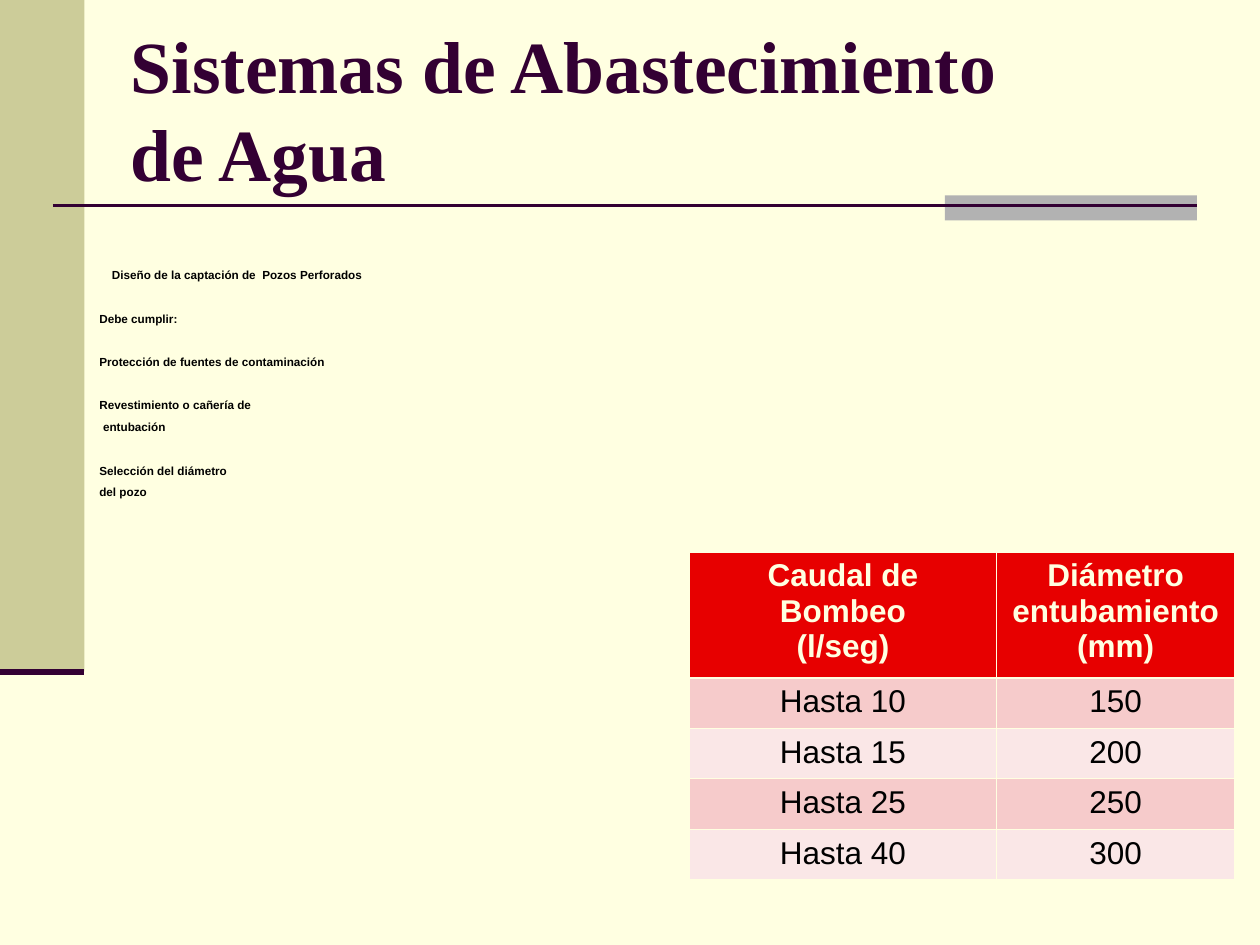
import pptx
import pptx.util
import pptx.dml.color
import pptx.enum.shapes
import pptx.enum.text
import pptx.oxml.ns
from lxml import etree

Inches = pptx.util.Inches
Pt = pptx.util.Pt
RGBColor = pptx.dml.color.RGBColor
Align = pptx.enum.text.PP_ALIGN
Anchor = pptx.enum.text.MSO_ANCHOR
qn = pptx.oxml.ns.qn

CREAM = RGBColor(0xFF, 0xFF, 0xE1)
OLIVE = RGBColor(0xCC, 0xCC, 0x99)
GRAY = RGBColor(0xB2, 0xB2, 0xB2)
PLUM = RGBColor(0x33, 0x00, 0x33)
BLACK = RGBColor(0x00, 0x00, 0x00)
RED = RGBColor(0xE7, 0x00, 0x00)
PINK = RGBColor(0xF6, 0xCB, 0xCB)
PALE_PINK = RGBColor(0xFA, 0xE7, 0xE7)


class SlideBuilder:
    heading_font = "Times New Roman"
    body_font = "Arial"

    def __init__(self, slide):
        self.slide = slide

    def background(self, color):
        fill = self.slide.background.fill
        fill.solid()
        fill.fore_color.rgb = color

    def rectangle(self, left, top, width, height, color):
        shape = self.slide.shapes.add_shape(
            pptx.enum.shapes.MSO_SHAPE.RECTANGLE,
            Inches(left), Inches(top), Inches(width), Inches(height))
        shape.shadow.inherit = False
        shape.fill.solid()
        shape.fill.fore_color.rgb = color
        shape.line.fill.background()

    def rule(self, left, right, y, color, width):
        connector = self.slide.shapes.add_connector(
            pptx.enum.shapes.MSO_CONNECTOR.STRAIGHT,
            Inches(left), Inches(y), Inches(right), Inches(y))
        connector.line.color.rgb = color
        connector.line.width = Pt(width)
        properties = connector._element.find(qn("p:spPr"))
        etree.SubElement(properties, qn("a:effectLst"))

    def text_frame(self, left, top, width, height, anchor=Anchor.TOP):
        box = self.slide.shapes.add_textbox(
            Inches(left), Inches(top), Inches(width), Inches(height))
        box.text_frame.word_wrap = True
        box.text_frame.vertical_anchor = anchor
        return box.text_frame

    def run(self, paragraph, text, font, size, color, bold):
        run = paragraph.add_run()
        run.text = text
        run.font.name = font
        run.font.size = Pt(size)
        run.font.color.rgb = color
        run.font.bold = bold

    def title(self, left, top, width, height, lines):
        frame = self.text_frame(left, top, width, height, Anchor.MIDDLE)
        paragraph = frame.paragraphs[0]
        for index, line in enumerate(lines):
            if index:
                paragraph.add_line_break()
            self.run(paragraph, line, self.heading_font, 42, PLUM, True)

    def body(self, left, top, width, height, items):
        frame = self.text_frame(left, top, width, height)
        for index, (text, space_before, offset) in enumerate(items):
            paragraph = frame.add_paragraph() if index else frame.paragraphs[0]
            paragraph.alignment = Align.JUSTIFY
            paragraph.line_spacing = 0.8
            paragraph.space_before = Pt(space_before)
            properties = paragraph._p.get_or_add_pPr()
            properties.set("marL", str(Inches(0.37)))
            properties.set("indent", str(Inches(offset - 0.37)))
            self.run(paragraph, text, self.body_font, 6.7, BLACK, True)

    def border(self, cell, side, width):
        properties = cell._tc.get_or_add_tcPr()
        line = etree.SubElement(properties, qn("a:ln" + side), w=str(Pt(width)))
        fill = etree.SubElement(line, qn("a:solidFill"))
        etree.SubElement(fill, qn("a:srgbClr"), val=str(CREAM))

    def cell(self, cell, lines, row_index):
        header = row_index == 0
        heavy_sides = {0: "B", 1: "T"}
        for side in "LRTB":
            heavy = heavy_sides.get(row_index) == side
            self.border(cell, side, 1.47 if heavy else 0.45)
        cell.fill.solid()
        cell.fill.fore_color.rgb = (
            RED if header else PINK if row_index % 2 else PALE_PINK)
        frame = cell.text_frame
        for index, line in enumerate(lines):
            paragraph = frame.add_paragraph() if index else frame.paragraphs[0]
            paragraph.alignment = Align.CENTER
            self.run(paragraph, line, self.body_font, 18,
                     CREAM if header else BLACK, header)

    def table(self, left, top, column_widths, row_heights, rows):
        table = self.slide.shapes.add_table(
            len(rows), len(column_widths), Inches(left), Inches(top),
            Inches(sum(column_widths)), Inches(sum(row_heights))).table
        for column, width in zip(table.columns, column_widths):
            column.width = Inches(width)
        for row_index, (height, row) in enumerate(zip(row_heights, rows)):
            table.rows[row_index].height = Inches(height)
            for column_index, lines in enumerate(row):
                self.cell(table.cell(row_index, column_index), lines, row_index)


def main():
    presentation = pptx.Presentation()
    presentation.slide_width = Inches(10)
    presentation.slide_height = Inches(7.5)
    builder = SlideBuilder(
        presentation.slides.add_slide(presentation.slide_layouts[6]))

    # Background and decoration
    builder.background(CREAM)
    builder.rectangle(0, 0, 0.67, 5.33, OLIVE)
    builder.rectangle(7.5, 1.55, 2, 0.2, GRAY)
    builder.rule(0.42, 9.5, 1.63, PLUM, 1.5)
    builder.rule(0, 0.67, 5.33, PLUM, 3.5)

    # Title
    builder.title(0.94, 0.23, 8.5, 1.25,
                  ["Sistemas de Abastecimiento ", "de Agua"])

    # Requirements: text, space before, first-line offset
    near, far = 6, 18.4
    builder.body(0.69, 2.1, 9, 2.05, [
        ("Diseño de la captación de  Pozos Perforados", near, 0.1),
        ("Debe cumplir:", far, 0),
        ("Protección de fuentes de contaminación", far, 0),
        ("Revestimiento o cañería de", far, 0),
        ("entubación", near, 0.03),
        ("Selección del diámetro", far, 0),
        ("del pozo", near, 0),
    ])

    # Pumping flow and casing diameter
    diameters = {10: 150, 15: 200, 25: 250, 40: 300}
    rows = [[["Caudal de Bombeo", "(l/seg)"],
             ["Diámetro entubamiento", "(mm)"]]]
    rows += [[[f"Hasta {flow}"], [str(diameter)]]
             for flow, diameter in diameters.items()]
    builder.table(5.47, 4.38, [2.44, 1.89], [1] + [0.4] * len(diameters), rows)

    presentation.save("out.pptx")


if __name__ == "__main__":
    main()
